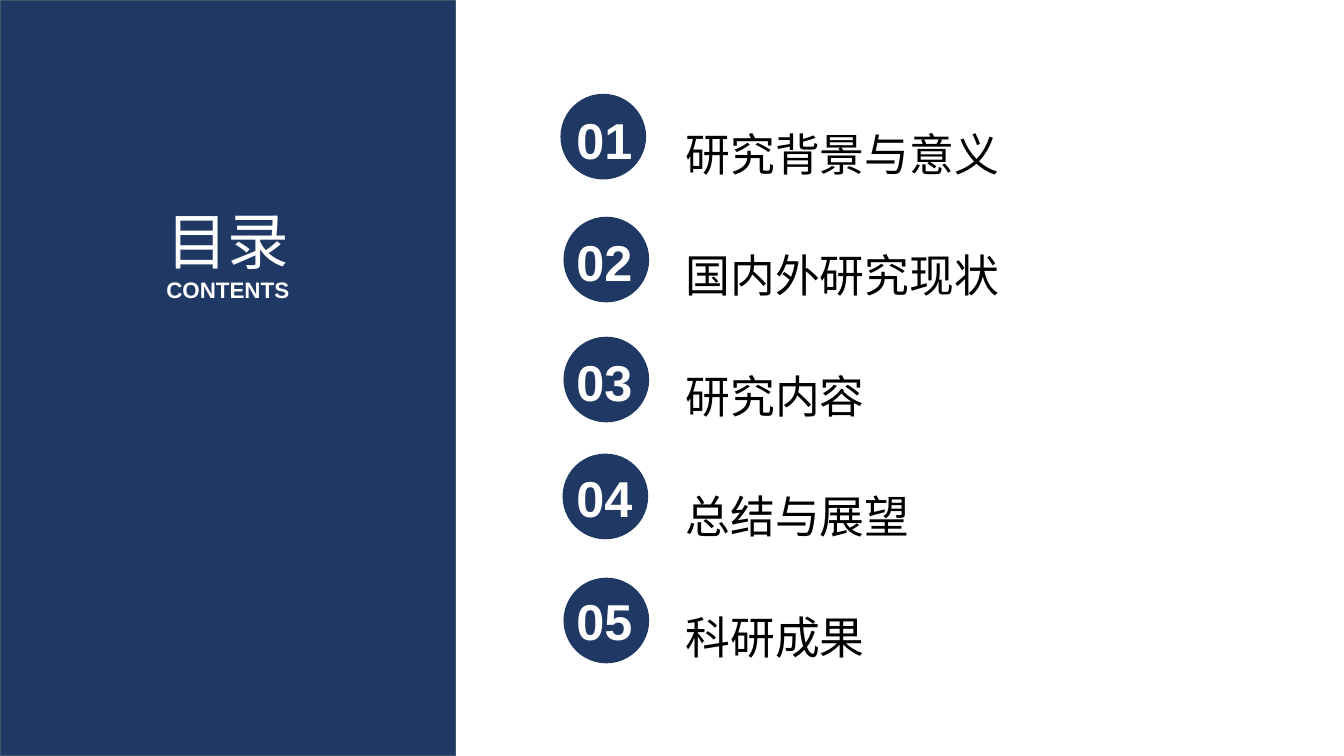
from dataclasses import dataclass

from lxml.etree import SubElement
from pptx import Presentation
from pptx.dml.color import RGBColor
from pptx.enum.shapes import MSO_SHAPE
from pptx.enum.text import MSO_ANCHOR, MSO_AUTO_SIZE, PP_ALIGN
from pptx.oxml.ns import qn
from pptx.util import Pt


@dataclass(frozen=True)
class Theme:
    navy: RGBColor = RGBColor(0x20, 0x38, 0x64)
    slate: RGBColor = RGBColor(0x44, 0x54, 0x6A)
    white: RGBColor = RGBColor(0xFF, 0xFF, 0xFF)
    black: RGBColor = RGBColor(0, 0, 0)
    latin: str = "Arial"
    chinese: str = "Noto Sans CJK SC"
    title_size: int = 44
    subtitle_size: int = 16
    number_size: int = 36
    topic_size: int = 32


theme = Theme()


def style_text(para, size, color, font, bold=False):
    """Format every run, naming the font for Latin and East Asian text alike."""
    for span in para.runs:
        span.font.size = Pt(size)
        span.font.bold = bold
        span.font.color.rgb = color
        span.font.name = font
        SubElement(span.font._element, qn("a:ea"), typeface=font)


def add_filled_shape(preset, left, top, width, height):
    shape = slide.shapes.add_shape(preset, Pt(left), Pt(top), Pt(width), Pt(height))
    shape.shadow.inherit = False
    shape.fill.solid()
    shape.fill.fore_color.rgb = theme.navy
    shape.line.fill.background()
    return shape


deck = Presentation()
deck.slide_width, deck.slide_height = Pt(960), Pt(540)
slide = deck.slides.add_slide(deck.slide_layouts[1])
title, topics = slide.placeholders

# Side panel, placed behind the title
panel = add_filled_shape(MSO_SHAPE.RECTANGLE, 0, 0, 325.5, 540)
panel.line.color.rgb = theme.slate
panel.line.width = Pt(1)
title.element.addprevious(panel.element)

title.left, title.top, title.width, title.height = Pt(0), Pt(141), Pt(325.5), Pt(80)
frame = title.text_frame
frame.text = "目录\nCONTENTS"
frame.auto_size = MSO_AUTO_SIZE.NONE
frame.vertical_anchor = MSO_ANCHOR.TOP
for para in frame.paragraphs:
    para.alignment = PP_ALIGN.CENTER
heading, subtitle = frame.paragraphs
style_text(heading, theme.title_size, theme.white, theme.chinese)
style_text(subtitle, theme.subtitle_size, theme.white, theme.latin, bold=True)

# Topic list: a fixed line pitch keeps each topic level with its badge
topics.left, topics.top, topics.width, topics.height = Pt(482.4), Pt(42.7), Pt(425), Pt(440)
frame = topics.text_frame
frame.text = "研究背景与意义\n国内外研究现状\n研究内容\n总结与展望\n科研成果"
frame.auto_size = MSO_AUTO_SIZE.NONE
frame.vertical_anchor = MSO_ANCHOR.TOP
frame.margin_top = frame.margin_bottom = 0
for para in frame.paragraphs:
    properties = para._p.get_or_add_pPr()
    properties.set("marL", "0")
    properties.set("indent", "0")
    SubElement(properties, qn("a:buNone"))
    para.line_spacing = Pt(86.25)
    para.space_before = Pt(0)
    style_text(para, theme.topic_size, theme.black, theme.chinese)

# Numbered badges: circle left, circle top, number top
badges = [
    (400.3, 67, 77.8),
    (402.5, 154.8, 164.9),
    (402.5, 240.5, 250.6),
    (401.8, 324, 333.4),
    (402.5, 412.6, 421.2),
]
for number, (circle_left, circle_top, number_top) in enumerate(badges, start=1):
    add_filled_shape(MSO_SHAPE.OVAL, circle_left, circle_top, 61.2, 61.2)
    box = slide.shapes.add_textbox(Pt(411.8), Pt(number_top), Pt(45.4), Pt(44))
    frame = box.text_frame
    frame.word_wrap = True
    frame.margin_left = frame.margin_right = frame.margin_top = frame.margin_bottom = 0
    frame.text = f"{number:02}"
    style_text(frame.paragraphs[0], theme.number_size, theme.white, theme.latin, bold=True)

deck.save("out.pptx")
